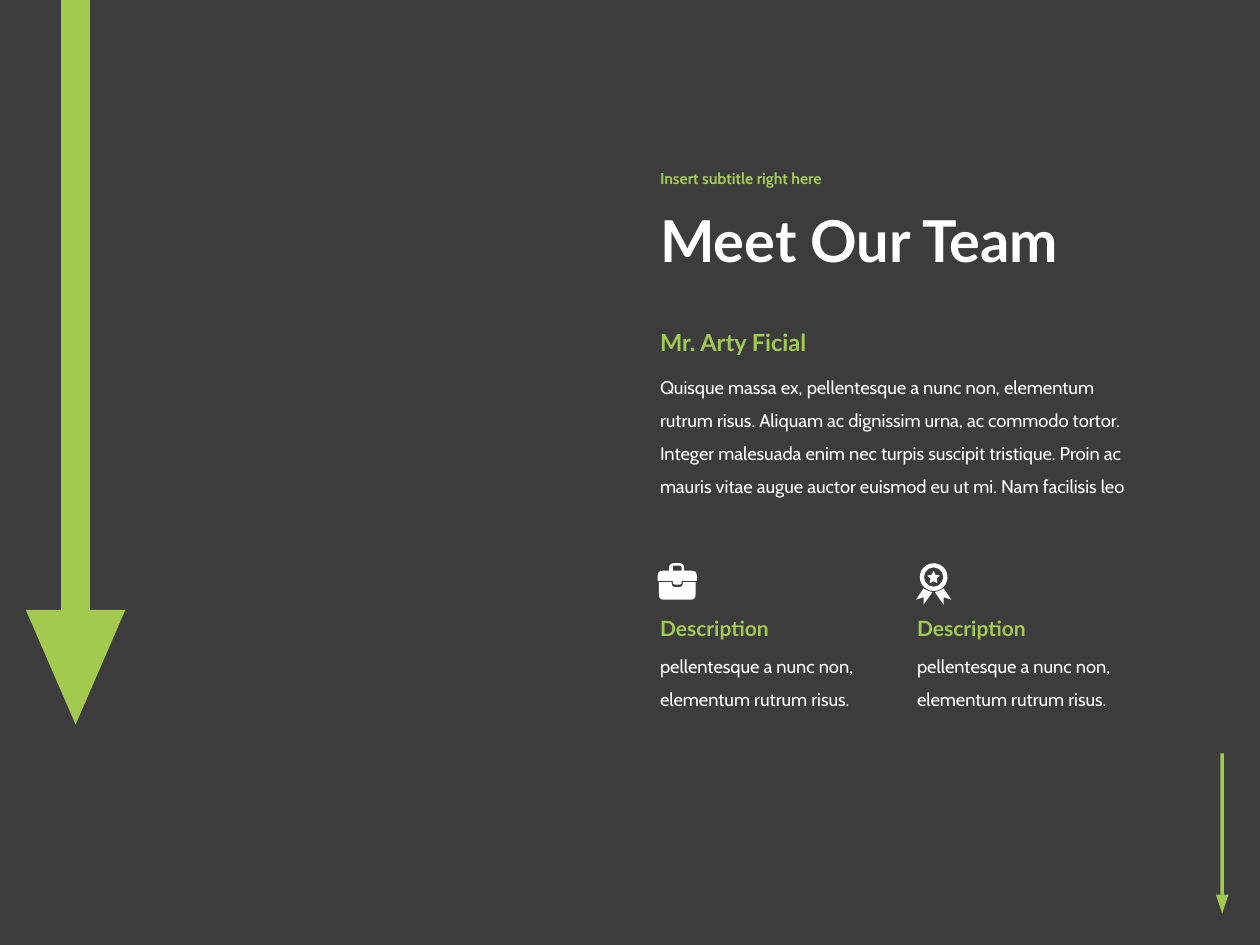
from pptx import Presentation
from pptx.dml.color import RGBColor as RGB
from pptx.enum.shapes import MSO_SHAPE as Shape
from pptx.enum.text import MSO_ANCHOR as Anchor, PP_ALIGN as Align
from pptx.util import Inches, Pt

COLORS = {"back": "3C3C3C", "green": "A3C951", "white": "FFFFFF"}

# Text styles: font, size, bold, color, line spacing
STYLES = {
    "title": ("Lato", 33, True, "white", 0.9),
    "sub": ("Cabin", 9, True, "green", 0.9),
    "name": ("Lato", 13.5, True, "green", 1),
    "head": ("Lato", 12, True, "green", 1),
    "body": ("Cabin", 10.5, False, "white", 1.5),
}

TITLE = "Meet Our Team"
SUB = "Insert subtitle right here"
NAME = "Mr. Arty Ficial"
BIO = ("Quisque massa ex, pellentesque a nunc non, elementum rutrum risus. "
       "Aliquam ac dignissim urna, ac commodo tortor. Integer malesuada enim "
       "nec turpis suscipit tristique. Proin ac mauris vitae augue auctor "
       "euismod eu ut mi. Nam facilisis leo")
ITEMS = [("Description", "pellentesque a nunc non, elementum rutrum risus.")] * 2
LEFT, STEP = 5.14, 2.04

# Arrows: center x, top, neck, tip, shaft width, head width
ARROWS = [(9.7, 5.98, 7.1, 7.25, 0.03, 0.1),
          (0.6, -0.21, 4.84, 5.75, 0.23, 0.79)]

# Icon outlines: (x, y) is a line, (x, y, cx, cy) a curve bent toward (cx, cy)
CASE = [[(5.39, 4.66), (5.36, 4.66), (5.33, 4.62, 5.33, 4.66), (5.23, 4.62),
         (5.23, 4.72), (5.27, 4.76, 5.23, 4.76), (5.48, 4.76),
         (5.52, 4.72, 5.52, 4.76), (5.52, 4.62), (5.42, 4.62),
         (5.39, 4.66, 5.42, 4.66)]]
LID = [[(5.49, 4.53), (5.43, 4.53), (5.43, 4.51), (5.39, 4.47, 5.43, 4.47),
        (5.35, 4.47), (5.31, 4.51, 5.31, 4.47), (5.31, 4.53), (5.26, 4.53),
        (5.22, 4.57, 5.22, 4.53), (5.22, 4.61), (5.34, 4.61), (5.34, 4.62),
        (5.36, 4.64, 5.34, 4.64), (5.39, 4.64), (5.41, 4.62, 5.41, 4.64),
        (5.41, 4.61), (5.53, 4.61), (5.53, 4.57), (5.49, 4.53, 5.53, 4.53)],
       [(5.34, 4.51), (5.35, 4.49, 5.34, 4.49), (5.39, 4.49),
        (5.41, 4.51, 5.41, 4.49), (5.41, 4.53), (5.34, 4.53)]]
TAIL = [(7.33, 4.67), (7.4, 4.7, 7.36, 4.69), (7.33, 4.8), (7.33, 4.74),
        (7.27, 4.76)]
MID = 7.41


def paint(shape, color):
    shape.shadow.inherit = False
    shape.fill.solid()
    shape.fill.fore_color.rgb = RGB.from_string(COLORS[color])
    shape.line.fill.background()
    return shape


def draw(kind, color, *box):
    return paint(slide.shapes.add_shape(kind, *map(Inches, box)), color)


def trace(path):
    """Turn an outline into points in EMU, with curves sampled."""
    pts = []
    for step in path:
        x, y, *bend = map(Inches, step)
        if bend:
            (x0, y0), (cx, cy) = pts[-1], bend
            for t in (0.2, 0.4, 0.6, 0.8):
                a, b, c = (1 - t) ** 2, 2 * t * (1 - t), t * t
                pts.append((a * x0 + b * cx + c * x, a * y0 + b * cy + c * y))
        pts.append((x, y))
    return pts


def outline(paths, color):
    first, *rest = map(trace, paths)
    pen = slide.shapes.build_freeform(*first[0])
    pen.add_line_segments(first[1:], close=True)
    for pts in rest:
        pen.move_to(*pts[0])
        pen.add_line_segments(pts[1:], close=True)
    paint(pen.convert_to_shape(), color)


def write(shape, text, style, anchor=Anchor.TOP):
    face, size, bold, color, gap = STYLES[style]
    frame = shape.text_frame
    frame.text = text
    frame.word_wrap = True
    frame.vertical_anchor = anchor
    para = frame.paragraphs[0]
    para.alignment = Align.LEFT
    para.line_spacing = gap
    font = para.runs[0].font
    font.name, font.size, font.bold = face, Pt(size), bold
    font.color.rgb = RGB.from_string(COLORS[color])


def label(text, style, *box, anchor=Anchor.TOP):
    write(slide.shapes.add_textbox(*map(Inches, box)), text, style, anchor)


deck = Presentation()
deck.slide_width, deck.slide_height = Inches(10), Inches(7.5)
slide = deck.slides.add_slide(deck.slide_layouts[5])
slide.background.fill.solid()
slide.background.fill.fore_color.rgb = RGB.from_string(COLORS["back"])

# Arrows
for mid, top, neck, tip, thin, wide in ARROWS:
    draw(Shape.RECTANGLE, "green", mid - thin / 2, top, thin, neck - top)
    head = draw(Shape.ISOSCELES_TRIANGLE, "green",
                mid - wide / 2, neck, wide, tip - neck)
    head.rotation = 180

# Title and subtitle
title = slide.shapes.title
title.left, title.top = Inches(LEFT), Inches(1.42)
title.width, title.height = Inches(5.63), Inches(1.03)
write(title, TITLE, "title", Anchor.MIDDLE)
label(SUB, "sub", LEFT, 1.23, 5.63, 0.38, anchor=Anchor.MIDDLE)

# Team member
label(BIO, "body", LEFT, 2.85, 4, 1.13)
label(NAME, "name", LEFT, 2.55, 2.19, 0.33)

# Description columns
for i, (head, body) in enumerate(ITEMS):
    x = LEFT + i * STEP
    label(body, "body", x, 5.06, 1.89, 0.6)
    label(head, "head", x, 4.84, 1.5, 0.3)

# Briefcase icon
outline(CASE, "white")
outline(LID, "white")

# Medal icon, with the second ribbon tail mirrored
ring = draw(Shape.DONUT, "white", 7.3, 4.47, 0.22, 0.22)
ring.adjustments[0] = 0.15
flip = [tuple(v if k % 2 else 2 * MID - v for k, v in enumerate(p)) for p in TAIL]
for tail in (TAIL, flip):
    outline([tail], "white")
star = draw(Shape.STAR_5_POINT, "white", 7.36, 4.53, 0.1, 0.1)
star.adjustments[0] = 0.25

deck.save("out.pptx")
